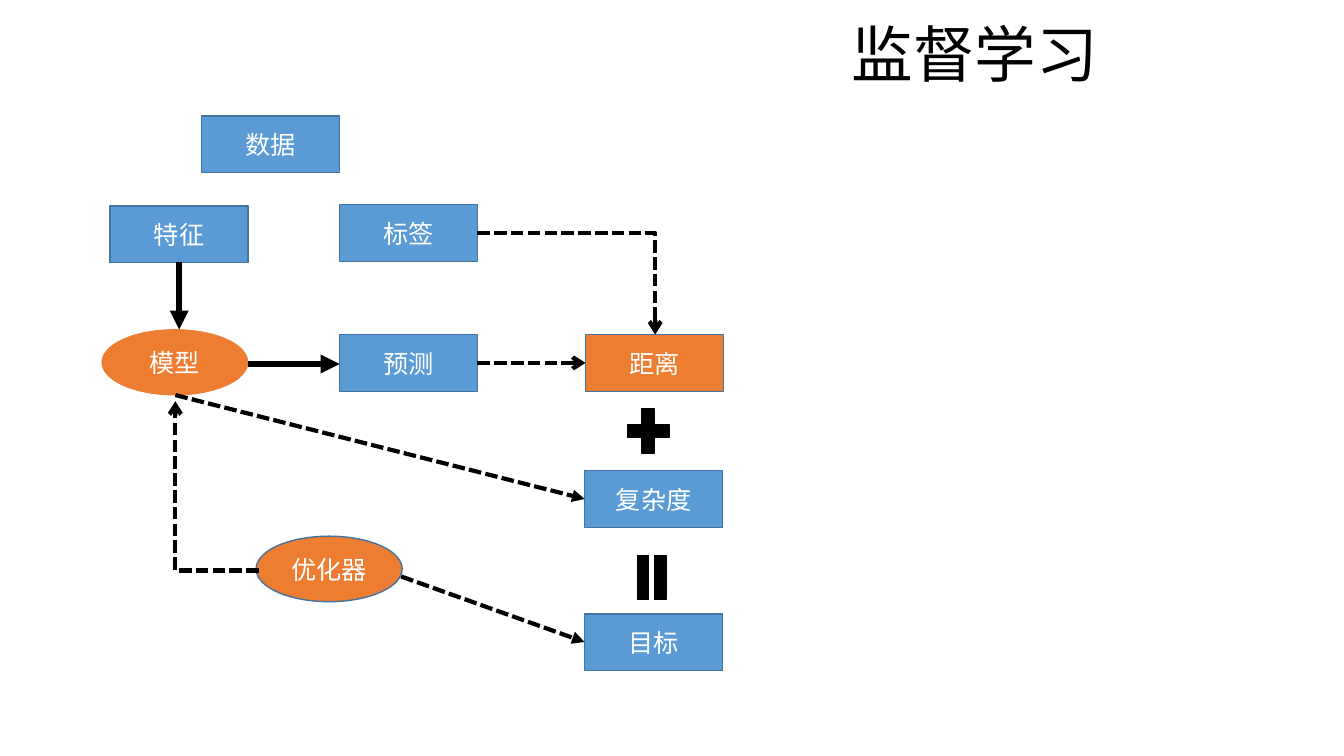
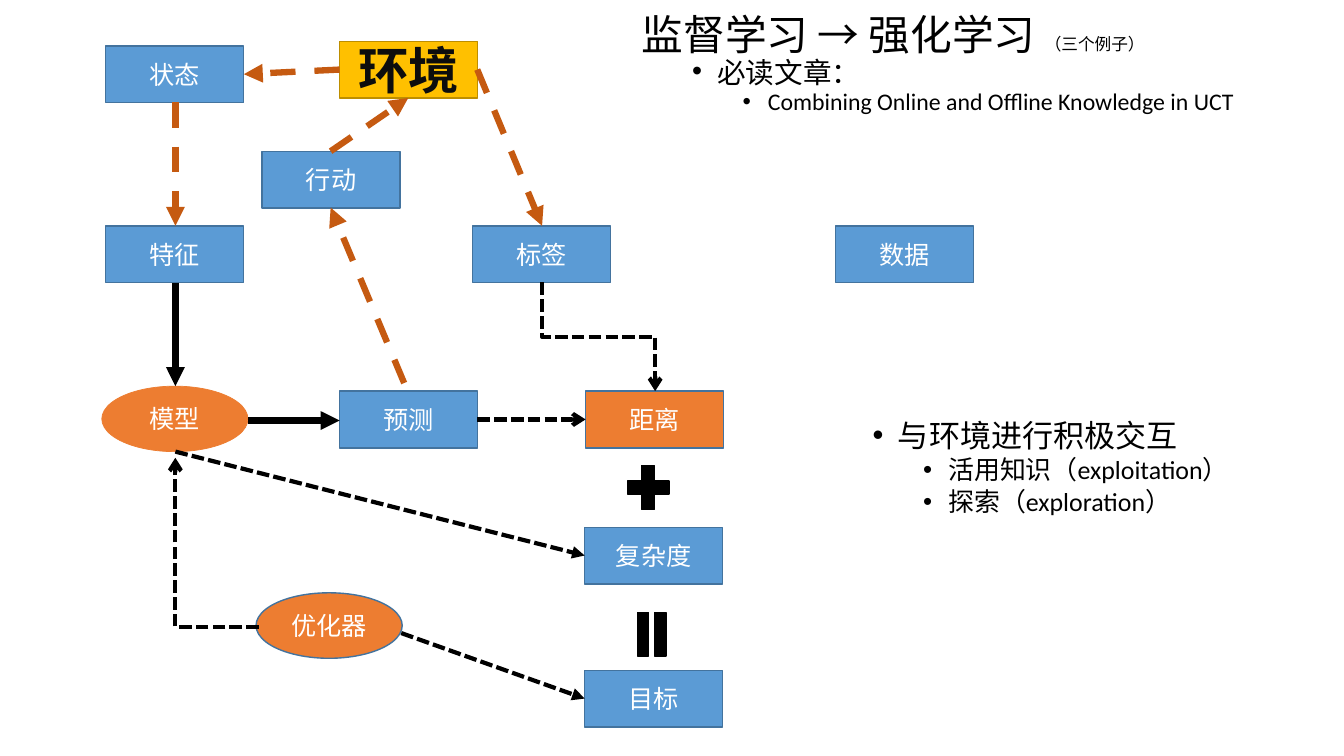
import pptx
import pptx.util
import pptx.dml.color
import pptx.enum.dml
import pptx.enum.shapes
import pptx.enum.text
import pptx.oxml
import pptx.oxml.ns

Pt = pptx.util.Pt
RGBColor = pptx.dml.color.RGBColor
Shape = pptx.enum.shapes.MSO_SHAPE
Connector = pptx.enum.shapes.MSO_CONNECTOR
Dash = pptx.enum.dml.MSO_LINE
Anchor = pptx.enum.text.MSO_ANCHOR
Align = pptx.enum.text.PP_ALIGN
qn = pptx.oxml.ns.qn

BLUE = RGBColor(0x5B, 0x9B, 0xD5)
BLUE_EDGE = RGBColor(0x43, 0x73, 0x9E)
ORANGE = RGBColor(0xED, 0x7D, 0x31)
GOLD = RGBColor(0xFF, 0xC0, 0x00)
GOLD_EDGE = RGBColor(0xBD, 0x8E, 0x00)
RUST = RGBColor(0xC5, 0x5A, 0x11)
BLACK = RGBColor(0x00, 0x00, 0x00)
NEAR_BLACK = RGBColor(0x0D, 0x0D, 0x0D)
WHITE = RGBColor(0xFF, 0xFF, 0xFF)

FONT = "Calibri"
BOX_WIDTH, BOX_HEIGHT = 98.6, 40.5
OVAL_WIDTH, OVAL_HEIGHT = 104.4, 46.8
LOOP_SHIFT = 40.4


def write(para, text, size=18, color=BLACK, bold=False):
    span = para.add_run()
    span.text = text
    span.font.name = FONT
    span.font.size = Pt(size)
    span.font.bold = bold
    span.font.color.rgb = color


def add_figure(page, kind, left, top, width, height, fill, edge, edge_width=1):
    figure = page.shapes.add_shape(kind, Pt(left), Pt(top), Pt(width), Pt(height))
    figure.shadow.inherit = False
    figure.fill.solid()
    figure.fill.fore_color.rgb = fill
    figure.line.color.rgb = edge
    figure.line.width = Pt(edge_width)
    return figure


def label(figure, text, **style):
    frame = figure.text_frame
    frame.word_wrap = True
    frame.vertical_anchor = Anchor.MIDDLE
    para = frame.paragraphs[0]
    para.alignment = Align.CENTER
    write(para, text, **{"color": WHITE, **style})


def add_box(page, text, left, top, fill=BLUE, edge=BLUE_EDGE, **style):
    box = add_figure(page, Shape.RECTANGLE, left, top, BOX_WIDTH, BOX_HEIGHT, fill, edge)
    label(box, text, **style)


def add_oval(page, text, left, top, edge=BLUE_EDGE, edge_width=1):
    oval = add_figure(page, Shape.OVAL, left, top, OVAL_WIDTH, OVAL_HEIGHT,
                      ORANGE, edge, edge_width)
    label(oval, text)


def add_arrow(page, start, end, width=3, color=BLACK, dash=Dash.SQUARE_DOT,
              head="triangle", kind=Connector.STRAIGHT):
    arrow = page.shapes.add_connector(kind, *map(Pt, start + end))
    arrow.line.color.rgb = color
    arrow.line.width = Pt(width)
    if dash is not None:
        arrow.line.dash_style = dash
    properties = arrow.element.spPr
    tail = pptx.oxml.parse_xml(f'<a:tailEnd {pptx.oxml.ns.nsdecls("a")} type="{head}"/>')
    properties.find(qn("a:ln")).append(tail)
    properties.append(pptx.oxml.parse_xml(f'<a:effectLst {pptx.oxml.ns.nsdecls("a")}/>'))
    return arrow


def add_solid_arrow(page, start, end):
    add_arrow(page, start, end, width=4.5, dash=None)


def add_rust_arrow(page, start, end):
    add_arrow(page, start, end, width=4.5, color=RUST, dash=Dash.DASH)


def add_corner_arrow(page, start, end):
    arrow = add_arrow(page, start, end, head="arrow", kind=Connector.ELBOW)
    arrow.element.spPr.find(qn("a:prstGeom")).set("prst", "bentConnector2")


def add_step_arrow(page, start, end):
    middle_x, middle_y = (start[0] + end[0]) / 2, (start[1] + end[1]) / 2
    half_width, half_height = (end[1] - start[1]) / 2, (end[0] - start[0]) / 2
    arrow = add_arrow(page, (middle_x + half_width, middle_y - half_height),
                      (middle_x - half_width, middle_y + half_height),
                      head="arrow", kind=Connector.ELBOW)
    arrow.element.spPr.find(qn("a:xfrm")).set("rot", str(270 * 60000))


def add_text(page, left, top, width, height, lines, spacing, anchor=Anchor.TOP):
    frame = page.shapes.add_textbox(Pt(left), Pt(top), Pt(width), Pt(height)).text_frame
    frame.word_wrap = True
    frame.vertical_anchor = anchor
    for index, (level, before, spans) in enumerate(lines):
        para = frame.add_paragraph() if index else frame.paragraphs[0]
        para.line_spacing = spacing
        para.space_before = Pt(before)
        if level:
            add_bullet(para, level)
        for text, size in spans:
            write(para, text, size=size)


def add_bullet(para, level):
    para.level = level
    properties = para._p.get_or_add_pPr()
    properties.set("marL", str(Pt(36 * level + 18)))
    properties.set("indent", str(Pt(-18)))
    for tag, name, value in (("buFont", "typeface", "Arial"), ("buChar", "char", "•")):
        properties.append(pptx.oxml.parse_xml(
            f'<a:{tag} {pptx.oxml.ns.nsdecls("a")} {name}="{value}"/>'))


def add_learning_core(page, shift=0):
    add_oval(page, "模型", 72.7, 235.4 + shift, edge=ORANGE, edge_width=0.5)
    add_oval(page, "优化器", 182.9, 383 + shift)
    add_box(page, "预测", 242.6, 239 + shift)
    add_box(page, "距离", 418.3, 239 + shift, fill=ORANGE)
    add_box(page, "复杂度", 417.6, 336.2 + shift)
    add_box(page, "目标", 417.6, 438.5 + shift)
    add_figure(page, Shape.MATH_PLUS, 442.8, 286.6 + shift, 40.3, 42.5, BLACK, BLACK)
    equal = add_figure(page, Shape.MATH_EQUAL, 444.2, 395.3 + shift, 42.5, 34.6, BLACK, BLACK)
    equal.rotation = 90
    add_solid_arrow(page, (177.1, 260 + shift), (242.6, 260 + shift))
    add_arrow(page, (340.9, 259.2 + shift), (418.3, 259.2 + shift), head="arrow")
    add_arrow(page, (125.3, 282.2 + shift), (417.6, 356.4 + shift))
    add_arrow(page, (286.6, 411.8 + shift), (417.6, 458.6 + shift))
    add_corner_arrow(page, (185, 407.5 + shift), (125.3, 286.6 + shift))


def build_supervised(page):
    add_text(page, 601.2, 0, 313.9, 82.8, [(0, 0, [("监督学习", 44)])], 0.9, Anchor.MIDDLE)
    add_box(page, "数据", 143.8, 82.8)
    add_box(page, "特征", 78.7, 147)
    add_box(page, "标签", 242.6, 146.2)
    add_learning_core(page)
    add_solid_arrow(page, (128, 187.2), (128, 235.4))
    add_corner_arrow(page, (340.9, 166.4), (468, 239))


def build_reinforcement(page):
    add_text(page, 451.4, 12.2, 496.8, 74.9, [
        (0, 10, [("监督学习 → 强化学习 ", 29.8), ("（三个例子）", 11.9)]),
        (1, 5, [("必读文章：", 20.4)]),
        (2, 5, [("Combining Online and Offline Knowledge in UCT", 17)]),
    ], 0.7)
    for text, left in (("特征", 75.6), ("标签", 337.7), ("数据", 596.9)):
        add_box(page, text, left, 161.3)
    add_learning_core(page, LOOP_SHIFT)
    add_solid_arrow(page, (125.3, 201.8), (125.3, 275.8))
    add_step_arrow(page, (387.2, 201.8), (468, 279.4))
    add_box(page, "环境", 242.6, 29.5, fill=GOLD, edge=GOLD_EDGE,
            size=36, color=NEAR_BLACK, bold=True)
    add_box(page, "行动", 187.2, 108)
    add_box(page, "状态", 75.6, 32.9)
    for start, end in (
        ((125.3, 73.2), (125.3, 161.3)),
        ((242.6, 49.7), (174.2, 53)),
        ((288.7, 273.6), (236.2, 148.3)),
        ((236.2, 108), (291.6, 70)),
        ((340.9, 49.7), (387.2, 161.3)),
    ):
        add_rust_arrow(page, start, end)
    add_text(page, 580.3, 298.8, 367, 74.9, [
        (1, 5, [("与环境进行积极交互", 22.2)]),
        (2, 5, [("活用知识（exploitation）", 18.5)]),
        (2, 5, [("探索（exploration）", 18.5)]),
    ], 0.8)


def main():
    deck = pptx.Presentation()
    deck.slide_width, deck.slide_height = Pt(960), Pt(540)
    for build in (build_supervised, build_reinforcement):
        build(deck.slides.add_slide(deck.slide_layouts[6]))
    deck.save("out.pptx")


if __name__ == "__main__":
    main()
